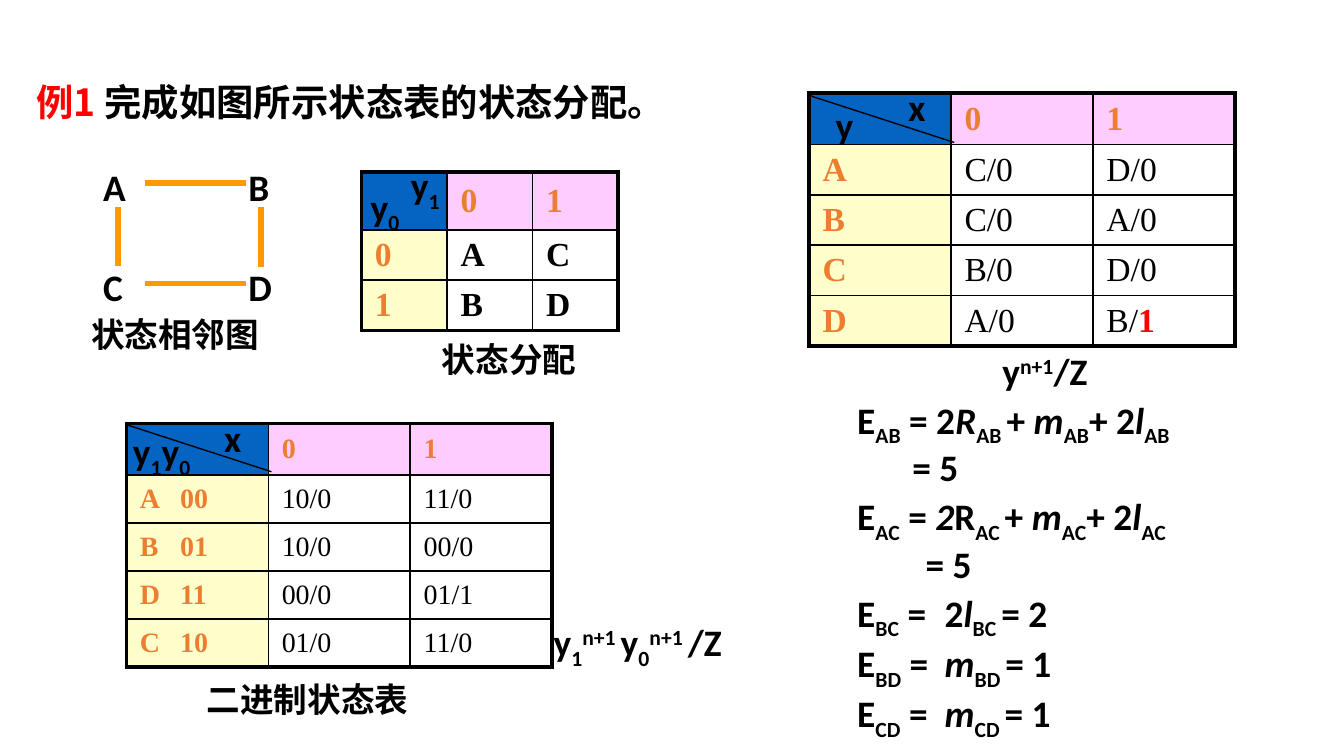
from dataclasses import dataclass
from lxml.etree import SubElement
from pptx import Presentation
from pptx.dml.color import RGBColor
from pptx.enum.shapes import MSO_CONNECTOR
from pptx.enum.text import MSO_ANCHOR, MSO_AUTO_SIZE, PP_ALIGN
from pptx.oxml.ns import qn
from pptx.util import Inches, Pt


@dataclass(frozen=True)
class Theme:
    ink: str = "000000"
    red: str = "FF0000"
    heading: str = "ED7D31"
    corner: str = "0563C1"
    top_row: str = "FFCCFF"
    left_column: str = "FFFFCC"
    body: str = "FFFFFF"
    edge: str = "FF9900"
    latin: str = "Calibri"
    chinese: str = "Noto Sans CJK JP"
    serif: str = "Times New Roman"
    text_size: int = 20
    caption_size: int = 18
    table_size: int = 18
    binary_size: int = 15


theme = Theme()
BASELINES = {"sub": "-25000", "sup": "30000"}


def add_runs(paragraph, runs, font, size, color=theme.ink, bold=True, tab=0.3):
    """Each run is a string or a (text, mark) pair: sub, sup, italic or red."""
    if any("\t" in item for item in runs):
        tabs = SubElement(paragraph._p.get_or_add_pPr(), qn("a:tabLst"))
        SubElement(tabs, qn("a:tab"), pos=str(Inches(tab)), algn="l")
    for item in runs:
        text, mark = (item, "") if isinstance(item, str) else item
        run = paragraph.add_run()
        run.text = text
        run.font.name = font
        run.font.size = Pt(size)
        run.font.bold = bold or mark == "red"
        run.font.color.rgb = RGBColor.from_string(theme.red if mark == "red" else color)
        if mark == "italic":
            run.font.italic = True
        properties = run._r.get_or_add_rPr()
        if mark in BASELINES:
            properties.set("baseline", BASELINES[mark])
        SubElement(properties, qn("a:ea")).set("typeface", font)


def add_line(start, end, color, width):
    line = slide.shapes.add_connector(
        MSO_CONNECTOR.STRAIGHT, *(Inches(v) for v in (*start, *end)))
    line.line.color.rgb = RGBColor.from_string(color)
    line.line.width = Pt(width)
    SubElement(line._element.spPr, qn("a:effectLst"))


# 16:9 slide
presentation = Presentation()
presentation.slide_width = Inches(10)
presentation.slide_height = Inches(10) * 9 // 16
slide = presentation.slides.add_slide(presentation.slide_layouts[5])

# Title
title = slide.shapes.title
title.left, title.top = Inches(0.17), Inches(0.58)
title.width, title.height = Inches(8.5), Inches(0.44)
title.text_frame.auto_size = MSO_AUTO_SIZE.NONE
title.text_frame.vertical_anchor = MSO_ANCHOR.MIDDLE
title.text_frame.margin_top = Inches(0.01)
heading = title.text_frame.paragraphs[0]
heading.alignment = PP_ALIGN.LEFT
heading.line_spacing = 0.9
add_runs(heading, [("例1 ", "red"), "完成如图所示状态表的状态分配。"],
         theme.chinese, theme.text_size)

# Tables: left, top, width, height, header height, type size, bold body, rows
binary_states = (0.94, 3.15, 3.17, 1.81, 0.38, theme.binary_size, False, [
    ["", "0", "1"],
    ["A\t00", "10/0", "11/0"],
    ["B\t01", "10/0", "00/0"],
    ["D\t11", "00/0", "01/1"],
    ["C\t10", "01/0", "11/0"]])
assignment = (2.69, 1.28, 1.91, 1.18, 0.43, theme.table_size, True, [
    ["", "0", "1"],
    ["0", "A", "C"],
    ["1", "B", "D"]])
states = (6.02, 0.69, 3.17, 1.88, 0.38, theme.table_size, False, [
    ["", "0", "1"],
    ["A", "C/0", "D/0"],
    ["B", "C/0", "A/0"],
    ["C", "B/0", "D/0"],
    ["D", "A/0", ["B/", ("1", "red")]]])

for left, top, width, height, header, size, bold_body, rows in (binary_states, assignment, states):
    last_row, last_column = len(rows) - 1, len(rows[0]) - 1
    table = slide.shapes.add_table(
        len(rows), len(rows[0]), Inches(left), Inches(top), Inches(width), Inches(height)).table
    table.first_row = table.horz_banding = False
    for column in table.columns:
        column.width = Inches(width / len(rows[0]))
    for r, row in enumerate(rows):
        table.rows[r].height = Inches((height - header) / last_row if r else header)
        for c, content in enumerate(row):
            cell = table.cell(r, c)
            cell.vertical_anchor = MSO_ANCHOR.MIDDLE
            cell.margin_left = cell.margin_right = Inches(0.1)
            cell.margin_top = cell.margin_bottom = Inches(0.04)

            # Thick outer frame, thin inner rules
            outer = {"L": c == 0, "R": c == last_column, "T": r == 0, "B": r == last_row}
            for side, is_outer in outer.items():
                border = SubElement(cell._tc.get_or_add_tcPr(), qn(f"a:ln{side}"))
                border.set("w", str(Pt(2.25 if is_outer else 1)))
                fill = SubElement(border, qn("a:solidFill"))
                SubElement(fill, qn("a:srgbClr")).set("val", theme.ink)

            is_label = r == 0 or c == 0
            if r == 0:
                background = theme.top_row if c else theme.corner
            else:
                background = theme.body if c else theme.left_column
            cell.fill.solid()
            cell.fill.fore_color.rgb = RGBColor.from_string(background)
            if content:
                add_runs(cell.text_frame.paragraphs[0],
                         [content] if isinstance(content, str) else content,
                         theme.serif, size, theme.heading if is_label else theme.ink,
                         is_label or bold_body)

# Diagonals of the corner cells
for left, top in ((0.94, 3.16), (6.02, 0.71)):
    add_line((left, top), (left + 1.08, top + 0.35), theme.ink, 0.75)

# Edges of the adjacency graph
for start, end in (((1.08, 1.36), (1.83, 1.36)), ((1.08, 2.11), (1.83, 2.11)),
                   ((0.88, 1.54), (0.88, 1.98)), ((1.94, 1.54), (1.94, 1.99))):
    add_line(start, end, theme.edge, 3)

# Labels: left, top, width, alignment, runs
y0 = ["y", ("0", "sub")]
y1 = ["y", ("1", "sub")]
next_state = ("n+1 ", "sup")
labels = [
    (1.57, 3.04, 0.5, PP_ALIGN.LEFT, ["x"]),
    (0.89, 3.14, 0.68, PP_ALIGN.LEFT, y1 + y0),
    (4.02, 4.56, 2.08, PP_ALIGN.LEFT, y1 + [next_state] + y0 + [next_state, "/Z"]),
    (6.66, 0.58, 0.5, PP_ALIGN.LEFT, ["x"]),
    (6.12, 0.71, 0.5, PP_ALIGN.LEFT, ["y"]),
    (7.02, 2.54, 1.17, PP_ALIGN.RIGHT, ["y", ("n+1", "sup"), "/Z"]),
    (2.96, 1.16, 0.5, PP_ALIGN.LEFT, y1),
    (2.66, 1.32, 0.5, PP_ALIGN.LEFT, y0),
    (0.67, 1.17, 0.5, PP_ALIGN.LEFT, ["A"]),
    (1.75, 1.17, 0.5, PP_ALIGN.LEFT, ["B"]),
    (0.67, 1.92, 0.5, PP_ALIGN.LEFT, ["C"]),
    (1.75, 1.92, 0.58, PP_ALIGN.LEFT, ["D"]),
]
captions = [
    (1.44, 5, 2.58, PP_ALIGN.LEFT, ["二进制状态表"]),
    (0.58, 2.29, 1.83, PP_ALIGN.LEFT, ["状态相邻图"]),
    (3.19, 2.47, 1.42, PP_ALIGN.LEFT, ["状态分配"]),
]
for group, height, font, size in ((labels, 0.44, theme.latin, theme.text_size),
                                  (captions, 0.4, theme.chinese, theme.caption_size)):
    for left, top, width, alignment, runs in group:
        label = slide.shapes.add_textbox(Inches(left), Inches(top), Inches(width), Inches(height))
        label.text_frame.word_wrap = True
        paragraph = label.text_frame.paragraphs[0]
        paragraph.alignment = alignment
        add_runs(paragraph, runs, font, size)

# Equations: indent, runs
R, m, l = (("R", "italic"), ("m", "italic"), ("l", "italic"))
equations = [
    (0, ["E", ("AB", "sub"), " = 2", R, ("AB ", "sub"), "+ ", m, ("AB", "sub"),
         "+ 2", l, ("AB", "sub")]),
    (0.41, ["= 5"]),
    (0, ["E", ("AC", "sub"), " = ", ("2", "italic"), "R", ("AC ", "sub"), "+ ", m, ("AC", "sub"),
         "+ 2", l, ("AC", "sub")]),
    (0.51, ["= 5"]),
    (0, ["E", ("BC", "sub"), " =", "\t", "2", l, ("BC ", "sub"), "= 2"]),
    (0, ["E", ("BD", "sub"), " =", "\t", m, ("BD ", "sub"), "= 1"]),
    (0, ["E", ("CD", "sub"), " =", "\t", m, ("CD ", "sub"), "= 1"]),
]
equation_box = slide.shapes.add_textbox(Inches(6.28), Inches(3), Inches(3.2), Inches(2.55))
equation_box.text_frame.word_wrap = True
for number, (indent, runs) in enumerate(equations):
    paragraph = equation_box.text_frame.paragraphs[0]
    if number:
        paragraph = equation_box.text_frame.add_paragraph()
        paragraph.space_before = Pt(10.5)
    paragraph.line_spacing = 0.6
    paragraph._p.get_or_add_pPr().set("marL", str(Inches(indent)))
    add_runs(paragraph, runs, theme.latin, theme.text_size, tab=0.65)

presentation.save("out.pptx")
